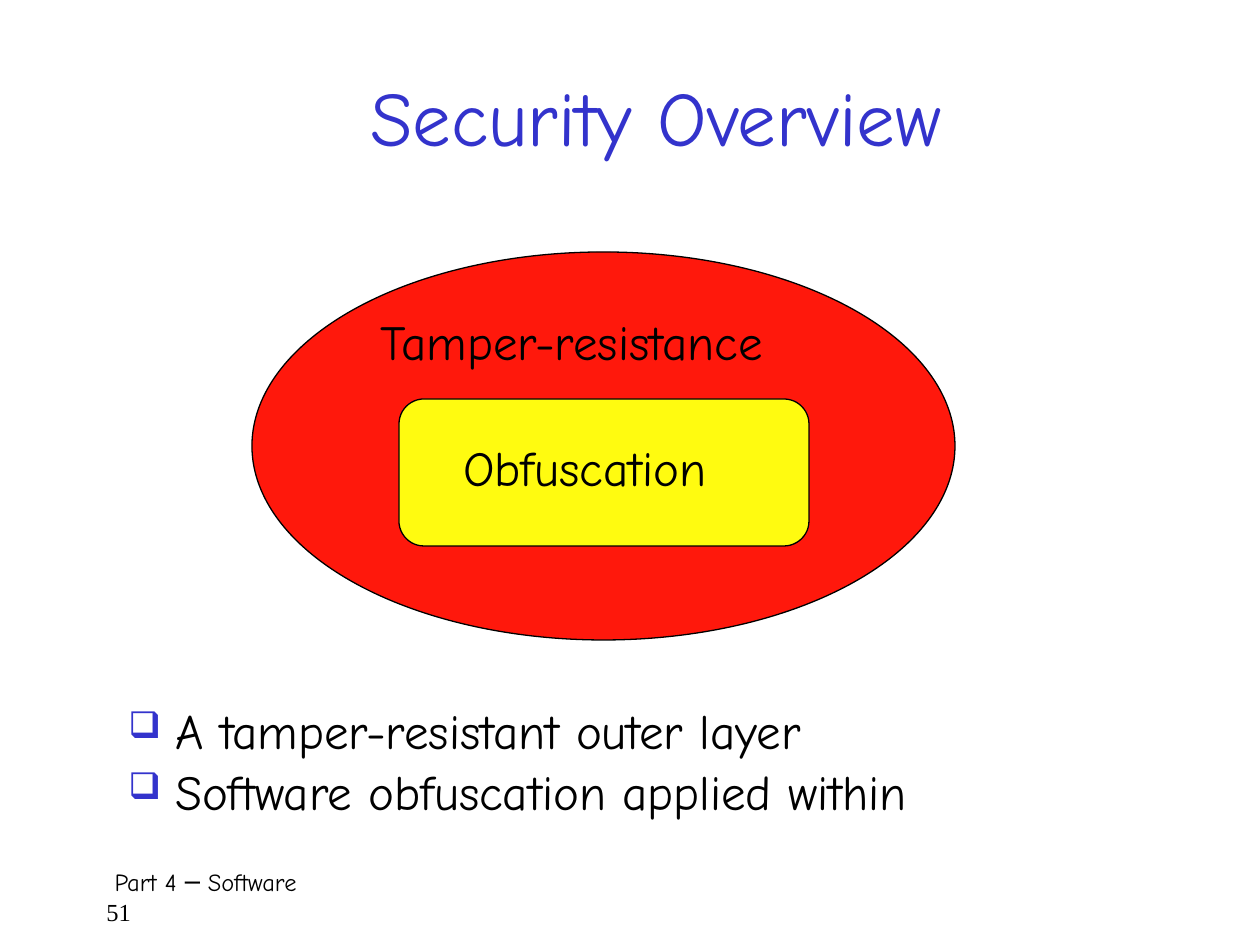
from lxml import etree
from pptx import Presentation, util as u
from pptx.dml.color import RGBColor
from pptx.enum import shapes, text
from pptx.oxml import ns

EMU_PER_PX = 914400 / 126
COLORS = {"ink": "000000", "accent": "3333CC", "outer": "FF180C", "inner": "FFFB10"}
FONT = "Comic Neue"
NUMBER_FONT = "Times New Roman"


def px(length):
    return u.Emu(round(length * EMU_PER_PX))


def rgb(name):
    return RGBColor.from_string(COLORS[name])


def format_run(run, size, color="ink", font=FONT):
    run.font.size = u.Pt(size)
    run.font.name = font
    run.font.color.rgb = rgb(color)


def add_text(slide, box, content, size, color="ink"):
    text_frame = slide.shapes.add_textbox(*map(px, box)).text_frame
    text_frame.word_wrap = True
    text_frame.text = content
    for paragraph in text_frame.paragraphs:
        for run in paragraph.runs:
            format_run(run, size, color)
    return text_frame


def add_layer(slide, kind, box, color):
    shape = slide.shapes.add_shape(kind, *map(px, box))
    shape.shadow.inherit = False
    shape.fill.solid()
    shape.fill.fore_color.rgb = rgb(color)
    shape.line.color.rgb = rgb("ink")
    shape.line.width = u.Pt(0.75)
    return shape


def add_bullet(paragraph, indent):
    properties = paragraph._p.get_or_add_pPr()
    properties.set("marL", str(px(indent)))
    properties.set("indent", str(-px(indent)))
    color = etree.SubElement(properties, ns.qn("a:buClr"))
    etree.SubElement(color, ns.qn("a:srgbClr"), val=COLORS["accent"])
    etree.SubElement(properties, ns.qn("a:buSzPct"), val="75000")
    etree.SubElement(properties, ns.qn("a:buChar"), char="❑")


def add_title(slide, box):
    text_frame = add_text(slide, box, "Security Overview", 44, "accent")
    text_frame.vertical_anchor = text.MSO_ANCHOR.MIDDLE
    text_frame.paragraphs[0].alignment = text.PP_ALIGN.CENTER


def add_layers(slide, box):
    left, top, width, height = box
    add_layer(slide, shapes.MSO_SHAPE.OVAL, box, "outer")
    inner = add_layer(slide, shapes.MSO_SHAPE.ROUNDED_RECTANGLE,
                      (left + 147, top + 147, 410, 147), "inner")
    inner.adjustments[0] = 0.17
    add_text(slide, (left + 199, top + 179, 357, 81), "Obfuscation", 28)
    add_text(slide, (left + 116, top + 53, 525, 81), "Tamper-resistance", 28)


def add_points(slide, box):
    points = ["A tamper-resistant outer layer", "Software obfuscation applied within"]
    text_frame = add_text(slide, box, "\n".join(points), 28)
    for index, paragraph in enumerate(text_frame.paragraphs):
        paragraph.line_spacing = 0.85
        paragraph.space_before = u.Pt(6.5 if index else 0)
        add_bullet(paragraph, 47)


def add_footer(slide, box):
    text_frame = add_text(slide, box, " Part 4 ─ Software\v51", 14)
    format_run(text_frame.paragraphs[0].runs[-1], 14, font=NUMBER_FONT)


def main():
    presentation = Presentation()
    presentation.slide_width, presentation.slide_height = px(1260), px(945)
    slide = presentation.slides.add_slide(presentation.slide_layouts[6])
    add_footer(slide, (94, 861, 1081, 63))
    add_title(slide, (105, 53, 1102, 126))
    add_layers(slide, (252, 252, 703, 388))
    add_points(slide, (116, 703, 1081, 147))
    presentation.save("out.pptx")


if __name__ == "__main__":
    main()
